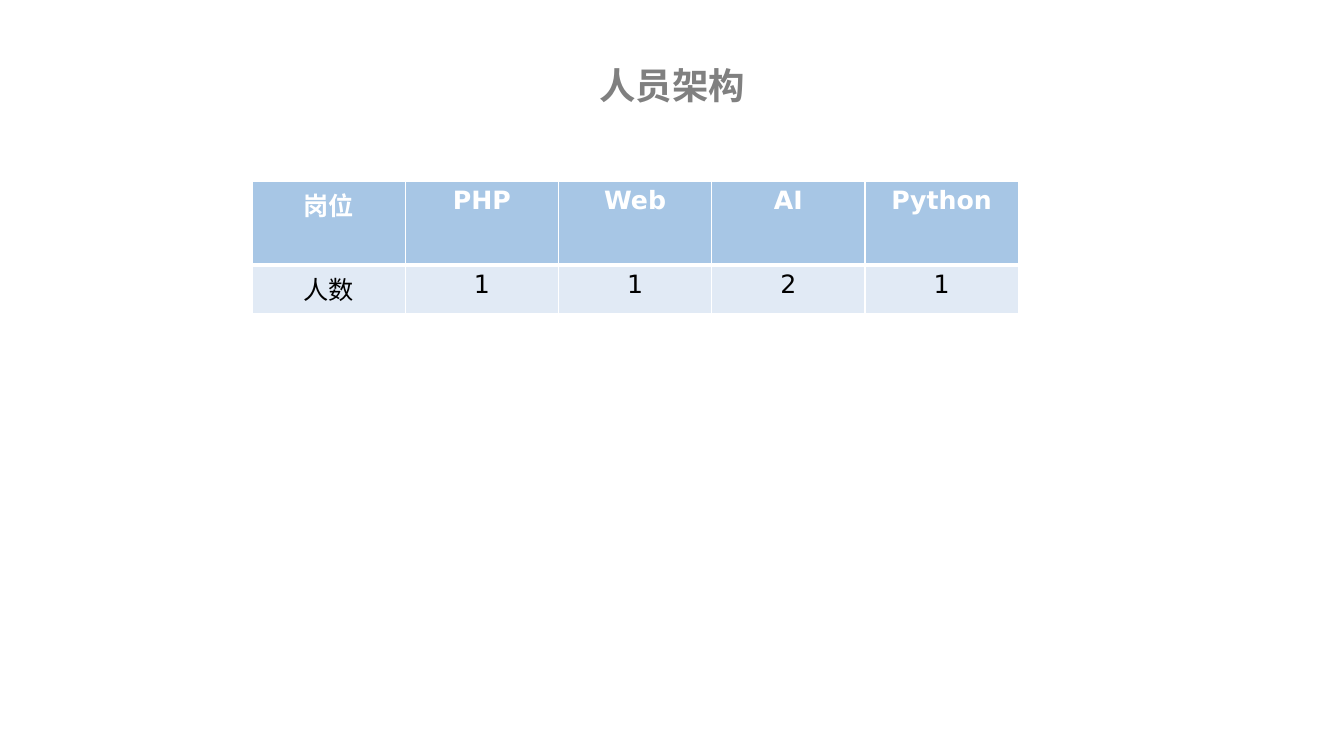
from lxml import etree
from pptx import Presentation
from pptx.dml.color import RGBColor
from pptx.enum.text import MSO_ANCHOR, PP_ALIGN
from pptx.oxml.ns import qn
from pptx.util import Inches, Pt

CENTER = PP_ALIGN.CENTER
MIDDLE = MSO_ANCHOR.MIDDLE

GREY = RGBColor(0x80, 0x80, 0x80)
WHITE = RGBColor(0xFF, 0xFF, 0xFF)
BLACK = RGBColor(0x00, 0x00, 0x00)
HEADER_BLUE = RGBColor(0xA7, 0xC6, 0xE5)
BODY_BLUE = RGBColor(0xE1, 0xEA, 0xF5)

CJK_FONT = "Noto Sans CJK SC"
LATIN_FONT = "DejaVu Sans"

STAFF = [
    ["岗位", "PHP", "Web", "AI", "Python"],
    ["人数", "1", "1", "2", "1"],
]
ROW_HEIGHTS = [0.83, 0.48]


def write(tf, text, font, size, color, bold):
    tf.text = text
    p = tf.paragraphs[0]
    p.alignment = CENTER
    p.font.name = font
    p.font.size = Pt(size)
    p.font.bold = bold
    p.font.color.rgb = color


def set_borders(cell, color, top, bottom):
    tcPr = cell._tc.get_or_add_tcPr()
    widths = {"a:lnL": 1, "a:lnR": 1, "a:lnT": top, "a:lnB": bottom}
    for i, (tag, width) in enumerate(widths.items()):
        ln = etree.Element(qn(tag), w=str(Pt(width)))
        fill = etree.SubElement(ln, qn("a:solidFill"))
        etree.SubElement(fill, qn("a:srgbClr"), val=str(color))
        tcPr.insert(i, ln)


def add_title(s, left, top, width, height):
    title = s.shapes.title
    title.left, title.top = Inches(left), Inches(top)
    title.width, title.height = Inches(width), Inches(height)
    title.text_frame.vertical_anchor = MIDDLE
    write(title.text_frame, "人员架构", CJK_FONT, 26, GREY, True)


def add_staff_table(s, left, top, width):
    table = s.shapes.add_table(
        len(STAFF), len(STAFF[0]), Inches(left), Inches(top),
        Inches(width), Inches(sum(ROW_HEIGHTS))).table
    for r, values in enumerate(STAFF):
        table.rows[r].height = Inches(ROW_HEIGHTS[r])
        header = r == 0
        for c, value in enumerate(values):
            cell = table.cell(r, c)
            cell.fill.solid()
            cell.fill.fore_color.rgb = HEADER_BLUE if header else BODY_BLUE
            # Thick rule between header and body
            set_borders(cell, WHITE, 1 if header else 3, 3 if header else 1)
            write(cell.text_frame, value, LATIN_FONT, 18,
                  WHITE if header else BLACK, header)


def main():
    prs = Presentation()
    prs.slide_width, prs.slide_height = Inches(13.33), Inches(7.5)
    s = prs.slides.add_slide(prs.slide_layouts[5])
    s.background.fill.solid()
    s.background.fill.fore_color.rgb = WHITE
    add_title(s, 0.92, 0.4, 11.5, 0.89)
    add_staff_table(s, 2.5, 1.8, 7.6)
    prs.save("out.pptx")


if __name__ == "__main__":
    main()
